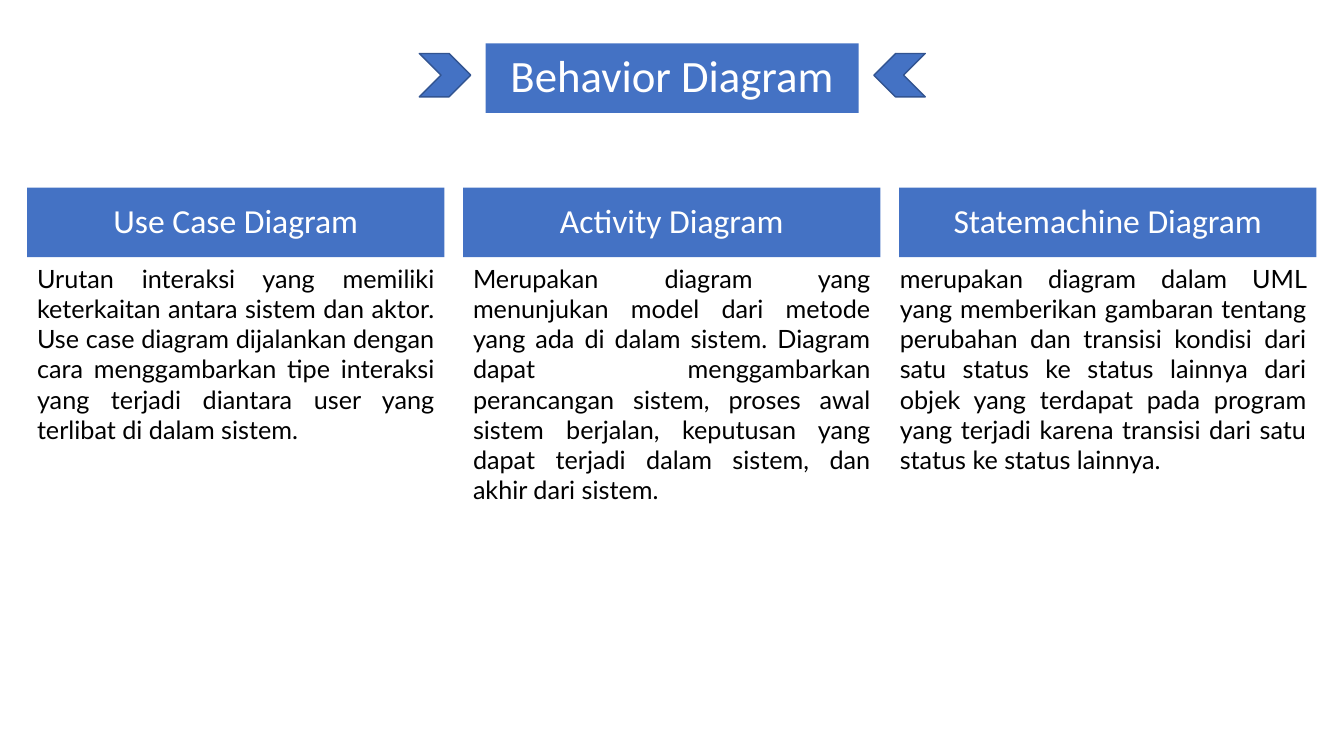
from pptx import Presentation
from pptx.dml.color import RGBColor
from pptx.enum.shapes import MSO_SHAPE
from pptx.enum.text import MSO_ANCHOR, MSO_AUTO_SIZE, PP_ALIGN
from pptx.util import Pt

BLUE = RGBColor(0x44, 0x72, 0xC4)
DARK_BLUE = RGBColor(0x32, 0x54, 0x91)
WHITE = RGBColor(0xFF, 0xFF, 0xFF)
BLACK = RGBColor(0, 0, 0)

COLUMN_LEFT, COLUMN_STEP, COLUMN_WIDTH = 19.4, 311.4, 298.1
BANNER_HEIGHT = 49.7
HEADING_TOP, BODY_TOP, BODY_HEIGHT = 134, 184.3, 159.8

# Heading, how far the body starts left of its column, body
COLUMNS = [
    ("Use Case Diagram", 0,
     "Urutan interaksi yang memiliki keterkaitan antara sistem dan aktor. "
     "Use case diagram dijalankan dengan cara menggambarkan tipe interaksi "
     "yang terjadi diantara user yang terlibat di dalam sistem."),
    ("Activity Diagram", 0,
     "Merupakan diagram yang menunjukan model dari metode yang ada di dalam "
     "sistem. Diagram dapat menggambarkan perancangan sistem, proses awal "
     "sistem berjalan, keputusan yang dapat terjadi dalam sistem, dan akhir "
     "dari sistem."),
    ("Statemachine Diagram", 6.5,
     "merupakan diagram dalam UML yang memberikan gambaran tentang perubahan "
     "dan transisi kondisi dari satu status ke status lainnya dari objek yang "
     "terdapat pada program yang terjadi karena transisi dari satu status ke "
     "status lainnya."),
]


def apply(target, values):
    for name, value in values.items():
        setattr(target, name, value)


class SlideBuilder:
    """Holds the current page and the text styles used on it."""

    banner_font = {"name": "Calibri"}
    body_font = {"name": "Lato", "size": Pt(18)}

    def __init__(self, page):
        self.page = page

    def shape(self, kind, left, top, width, height):
        shape = self.page.shapes.add_shape(
            kind, Pt(left), Pt(top), Pt(width), Pt(height))
        shape.shadow.inherit = False
        shape.fill.solid()
        shape.fill.fore_color.rgb = BLUE
        return shape

    def add_text(self, frame, text, para_format, font, color):
        para = frame.paragraphs[0]
        apply(para, para_format)
        span = para.add_run()
        span.text = text
        apply(span.font, font)
        span.font.color.rgb = color

    def banner(self, text, left, top, width, size, margin):
        box = self.shape(MSO_SHAPE.RECTANGLE, left, top, width, BANNER_HEIGHT)
        box.line.fill.background()
        sides = ("left", "top", "right", "bottom")
        apply(box.text_frame, {f"margin_{side}": Pt(margin) for side in sides})
        apply(box.text_frame, {"word_wrap": True,
                               "vertical_anchor": MSO_ANCHOR.MIDDLE})
        self.add_text(box.text_frame, text,
                      {"alignment": PP_ALIGN.CENTER, "line_spacing": 0.9},
                      {**self.banner_font, "size": Pt(size)}, WHITE)

    def body(self, text, left, top, width, height):
        box = self.page.shapes.add_textbox(
            Pt(left), Pt(top), Pt(width), Pt(height))
        apply(box.text_frame, {"word_wrap": True,
                               "auto_size": MSO_AUTO_SIZE.SHAPE_TO_FIT_TEXT})
        self.add_text(box.text_frame, text, {"alignment": PP_ALIGN.JUSTIFY},
                      self.body_font, BLACK)

    def chevron(self, left, rotation):
        arrow = self.shape(MSO_SHAPE.CHEVRON, left, 38.2, 36.7, 31)
        arrow.rotation = rotation
        arrow.line.color.rgb = DARK_BLUE
        arrow.line.width = Pt(1)


def main():
    deck = Presentation()
    apply(deck, {"slide_width": Pt(960), "slide_height": Pt(540)})
    builder = SlideBuilder(deck.slides.add_slide(deck.slide_layouts[6]))

    builder.banner("Behavior Diagram", 347, 31, 266.4, 32, 1.6)
    for index, (heading, outset, text) in enumerate(COLUMNS):
        left = COLUMN_LEFT + index * COLUMN_STEP
        builder.banner(heading, left, HEADING_TOP, COLUMN_WIDTH, 24, 1)
        builder.body(text, left - outset, BODY_TOP,
                     COLUMN_WIDTH + outset, BODY_HEIGHT)
    for left, rotation in ((299.5, 0), (624.2, 180)):
        builder.chevron(left, rotation)

    deck.save("out.pptx")


if __name__ == "__main__":
    main()
